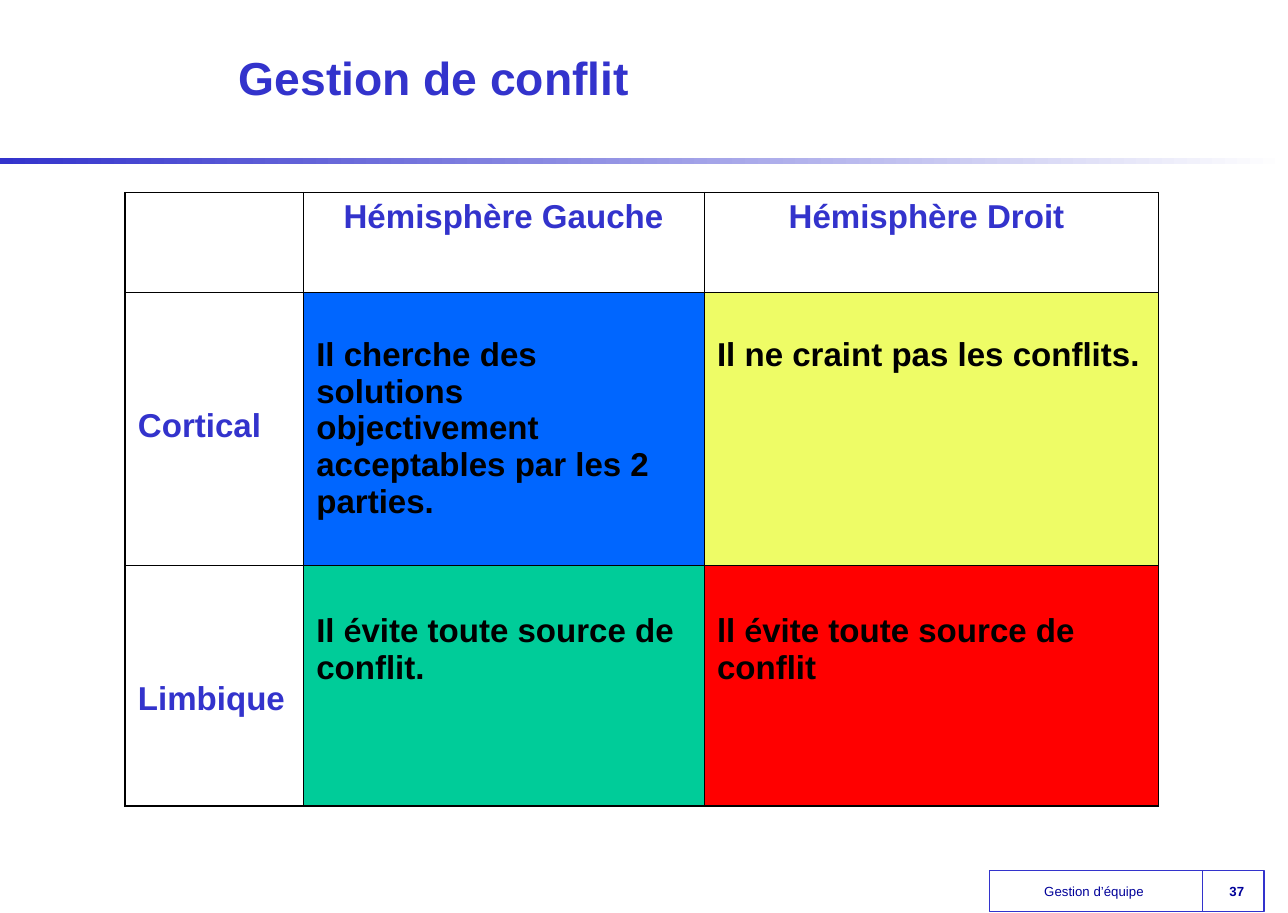
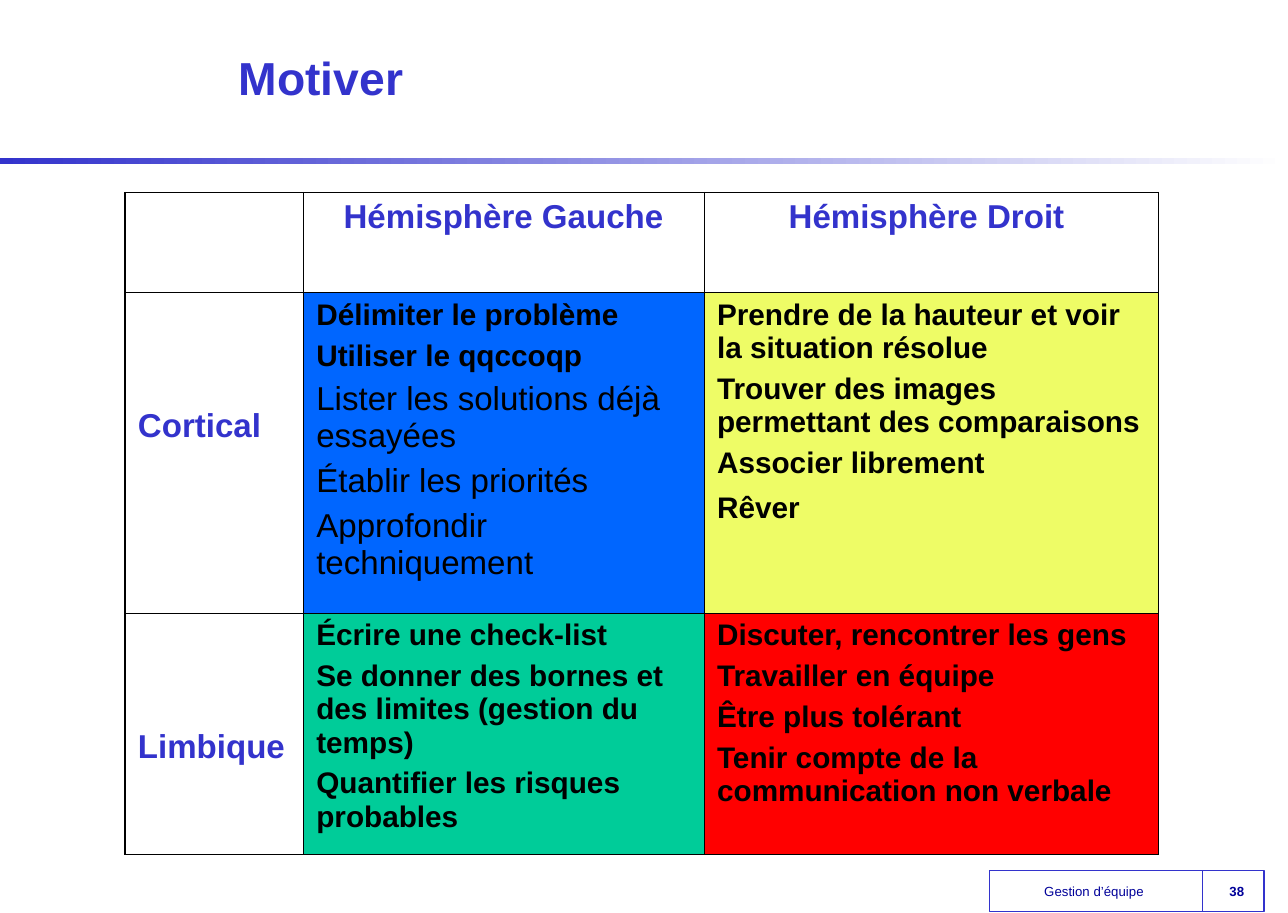
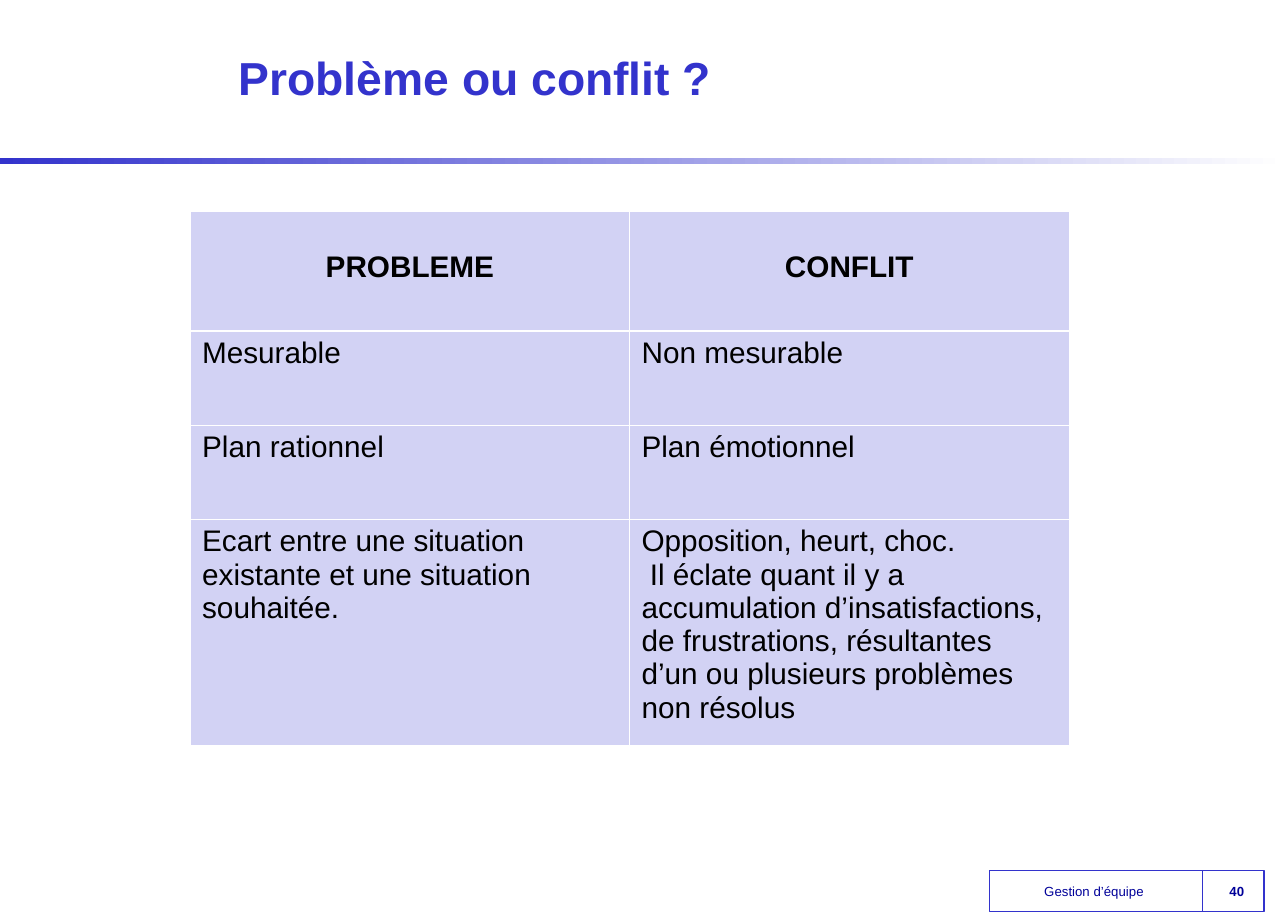
from dataclasses import dataclass

from lxml.etree import SubElement
from pptx import Presentation
from pptx.dml.color import RGBColor
from pptx.enum.shapes import MSO_SHAPE as Shape
from pptx.enum.text import MSO_ANCHOR as Anchor, PP_ALIGN as Align
from pptx.oxml.ns import qn
from pptx.util import Inches, Pt

WIDTH, HEIGHT = Inches(10.83), Inches(7.68)
FONT, ACCENT_FONT = "Arial", "Lato"
COLORS = {
    "title": "3333CC", "footer": "000099", "ink": "000000", "paper": "FFFFFF",
    "left_cortical": "0066FF", "right_cortical": "EEFC66",
    "left_limbic": "00CC99", "right_limbic": "FF0000", "lavender": "D2D2F4",
}
QUADRANTS = [["left_cortical", "right_cortical"], ["left_limbic", "right_limbic"]]
THIN, OUTER, HEADER_RULE = 0.45, 1.08, 1.47

# Boxes are left, top, width, height in percent of the slide.
TITLE_BOX = (17.64, 0.78, 79.59, 15.36)
BAND_BOX = (0, 17.32, 100, 0.6)
COURSE_BOX = (76.82, 95.31, 16.53, 4.56)
PAGE_FRAME = (93.35, 95.31, 4.8, 4.56)
PAGE_BOX = (93.63, 95.18, 4.8, 4.82)


@dataclass
class Line:
    """One paragraph: its runs are plain text or (text, font) pairs."""
    runs: list
    size: float = 18
    bold: bool = False
    color: str = "ink"
    before: float = 0
    align: Align = Align.LEFT


def rgb(name):
    """Return the named colour."""
    return RGBColor.from_string(COLORS[name])


def place(box):
    """Turn a percent box into slide lengths."""
    left, top, width, height = box
    return [round(share * side / 100) for share, side in
            ((left, WIDTH), (top, HEIGHT), (width, WIDTH), (height, HEIGHT))]


def write(frame, lines):
    """Write the lines into a text frame, run by run."""
    frame.word_wrap = True
    for index, line in enumerate(lines):
        paragraph = frame.add_paragraph() if index else frame.paragraphs[0]
        paragraph.alignment = line.align
        paragraph.space_before = Pt(line.before)
        for part in line.runs:
            text, font_name = (part, FONT) if isinstance(part, str) else part
            run = paragraph.add_run()
            run.text = text
            run.font.name, run.font.size = font_name, Pt(line.size)
            run.font.bold, run.font.color.rgb = line.bold, rgb(line.color)


def tighten(frame):
    """Centre footer text vertically between narrow margins."""
    frame.vertical_anchor = Anchor.MIDDLE
    frame.margin_left = frame.margin_right = Inches(0.04)


def add_frame(slide, box):
    """Add an outlined, unfilled footer rectangle."""
    frame = slide.shapes.add_shape(Shape.RECTANGLE, *place(box))
    frame.shadow.inherit = False
    frame.fill.background()
    frame.line.color.rgb, frame.line.width = rgb("title"), Pt(0.74)
    return frame


def add_band(slide, box):
    """Add the fading band under the title."""
    band = slide.shapes.add_shape(Shape.RECTANGLE, *place(box))
    band.shadow.inherit = False
    band.line.fill.background()
    band.fill.gradient()
    band.fill.gradient_angle = 0
    for stop, name in zip(band.fill.gradient_stops, ("title", "paper")):
        stop.color.rgb = rgb(name)


def add_footer(slide, page):
    """Add the course name and the page number."""
    course = add_frame(slide, COURSE_BOX).text_frame
    tighten(course)
    write(course, [Line(["Gestion d’équipe "], 8, color="footer", align=Align.CENTER)])
    add_frame(slide, PAGE_FRAME)
    number = slide.shapes.add_textbox(*place(PAGE_BOX)).text_frame
    tighten(number)
    write(number, [Line([str(page)], 8, True, "footer", align=Align.CENTER)])


def start_slide(deck, title, page):
    """Add a slide with the shared band, footer and title."""
    slide = deck.slides.add_slide(deck.slide_layouts[6])
    add_band(slide, BAND_BOX)
    add_footer(slide, page)
    heading = slide.shapes.add_textbox(*place(TITLE_BOX)).text_frame
    heading.vertical_anchor = Anchor.MIDDLE
    write(heading, [Line([title], 28, True, "title")])
    return slide


def add_grid(slide, box, columns, rows):
    """Add an unbanded table whose columns and rows share the box by weight."""
    left, top, width, height = place(box)
    table = slide.shapes.add_table(len(rows), len(columns), left, top, width, height).table
    table.first_row = table.horz_banding = False
    for column, weight in zip(table.columns, columns):
        column.width = round(width * weight / sum(columns))
    for row, weight in zip(table.rows, rows):
        row.height = round(height * weight / sum(rows))
    return table


def fill_cell(cell, lines, fill=None, top=0.05, side=0.11):
    """Set a cell's fill, margins and text."""
    if fill:
        cell.fill.solid()
        cell.fill.fore_color.rgb = rgb(fill)
    else:
        cell.fill.background()
    cell.margin_left = cell.margin_right = Inches(side)
    cell.margin_top = Inches(top)
    write(cell.text_frame, lines)


def border_cell(cell, color, widths):
    """Draw the left, right, top and bottom borders of a cell."""
    properties = cell._tc.get_or_add_tcPr()
    for index, (edge, width) in enumerate(zip("LRTB", widths)):
        border = SubElement(properties, qn(f"a:ln{edge}"), w=str(Pt(width)))
        solid = SubElement(border, qn("a:solidFill"))
        SubElement(solid, qn("a:srgbClr"), val=COLORS[color])
        properties.insert(index, border)


def add_brain_table(slide, box, rows, quadrants, top):
    """Add the hemisphere table with four coloured quadrants."""
    table = add_grid(slide, box, (1.5, 3.37, 3.82), rows)
    fill_cell(table.cell(0, 0), [])
    for column, side in enumerate(("Hémisphère Gauche", "Hémisphère Droit "), 1):
        fill_cell(table.cell(0, column),
                  [Line([side], 20, True, "title", align=Align.CENTER)])
    for row, level in enumerate(("Cortical", "Limbique"), 1):
        fill_cell(table.cell(row, 0), [Line([level], 20, True, "title")], top=0.97)
        for column, lines in enumerate(quadrants[row - 1], 1):
            fill_cell(table.cell(row, column), lines, QUADRANTS[row - 1][column - 1], top)
    for row in range(3):
        for column in range(3):
            outside = (column == 0, column == 2, row == 0, row == 2)
            border_cell(table.cell(row, column), "ink",
                        [OUTER if edge else THIN for edge in outside])


def add_comparison(slide, box, headings, body):
    """Add the two-column comparison with white rules."""
    table = add_grid(slide, box, (1, 1), (1, 0.79, 0.79, 1.9))
    for column, heading in enumerate(headings):
        fill_cell(table.cell(0, column),
                  [Line([heading], bold=True, align=Align.CENTER)], "lavender", 0.33, 0.1)
        border_cell(table.cell(0, column), "paper", (THIN, THIN, THIN, HEADER_RULE))
    for row, texts in enumerate(body, 1):
        rule = HEADER_RULE if row == 1 else THIN
        for column, paragraphs in enumerate(texts):
            cell = table.cell(row, column)
            fill_cell(cell, [Line([text]) for text in paragraphs], "lavender", side=0.1)
            border_cell(cell, "paper", (THIN, THIN, rule, THIN))


def strong(*runs):
    """Return one large bold paragraph."""
    return [Line(list(runs), 20, True)]


def advice(*texts):
    """Return a list of spaced bold paragraphs."""
    return [Line([text], bold=True, before=4.5) for text in texts]


def methods(*texts):
    """Return a list of larger, regular paragraphs."""
    return [Line([text], 20, before=5) for text in texts]


deck = Presentation()
deck.slide_width, deck.slide_height = WIDTH, HEIGHT

conflict = start_slide(deck, "Gestion de conflit", 37)
add_brain_table(conflict, (9.7, 21.09, 80.24, 67.19), (0.84, 2.3, 2.02), [
    [strong("Il cherche des solutions objectivement acceptables par les 2 parties."),
     strong("Il ne craint pas les conflits.")],
    [strong("Il ", ("é", ACCENT_FONT), "vite toute source de conflit."),
     strong("ll ", ("é", ACCENT_FONT), "vite toute source de conflit")],
], top=0.37)

motivation = start_slide(deck, "Motiver", 38)
add_brain_table(motivation, (9.7, 21.09, 80.24, 72.53), (0.84, 2.69, 2.03), [
    [advice("Délimiter le problème", "Utiliser le qqccoqp")
     + methods("Lister les solutions déjà essayées", "Établir les priorités",
               "Approfondir techniquement"),
     advice("Prendre de la hauteur et voir la situation résolue",
            "Trouver des images permettant des comparaisons",
            "Associer librement")
     + [Line(["Rêver"], bold=True, before=7)]],
    [advice("Écrire une check-list",
            "Se donner des bornes et des limites (gestion du temps)",
            "Quantifier les risques probables"),
     advice("Discuter, rencontrer les gens", "Travailler en équipe",
            "Être plus tolérant", "Tenir compte de la communication non verbale")],
], top=0.05)

comparison = start_slide(deck, "Problème ou conflit ?", 40)
add_comparison(comparison, (14.77, 23.18, 68.24, 58.46), ("PROBLEME", "CONFLIT"), [
    (["Mesurable"], ["Non mesurable"]),
    (["Plan rationnel"], ["Plan émotionnel"]),
    (["Ecart entre une situation", "existante et une situation souhaitée."],
     ["Opposition, heurt, choc.",
      " Il éclate quant il y a accumulation d’insatisfactions, de frustrations, résultantes",
      "d’un ou plusieurs problèmes non résolus"]),
])

deck.save("out.pptx")
